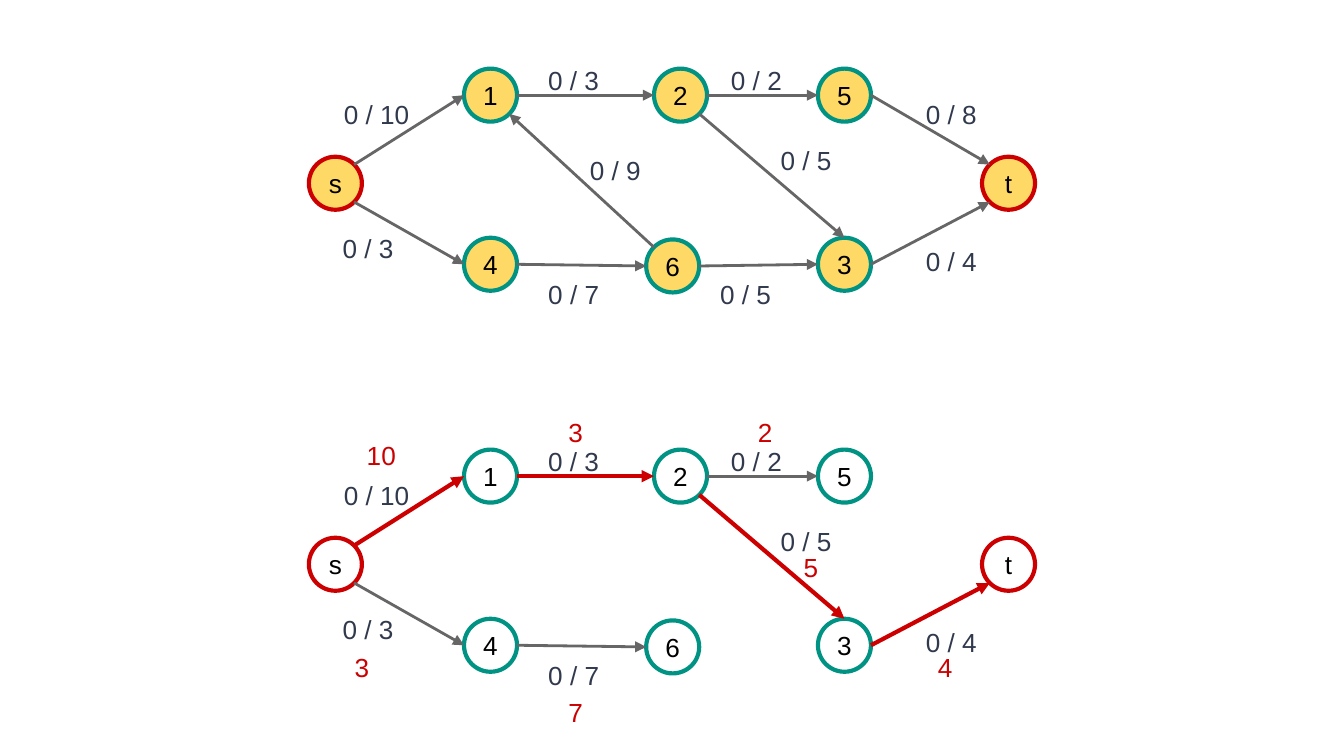
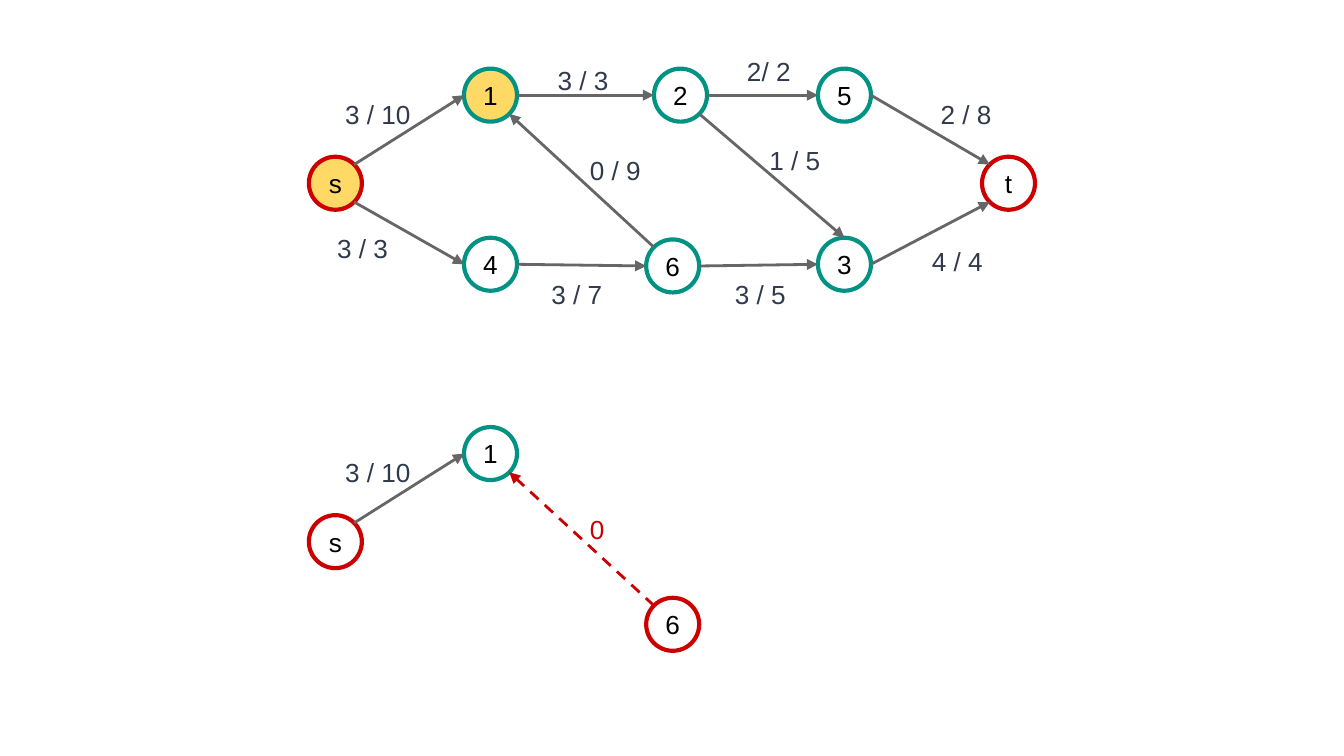
from lxml.etree import SubElement
from pptx import Presentation
from pptx.dml.color import RGBColor
from pptx.enum.dml import MSO_LINE_DASH_STYLE as Dash
from pptx.enum.shapes import MSO_CONNECTOR, MSO_SHAPE
from pptx.enum.text import MSO_ANCHOR, MSO_AUTO_SIZE, PP_ALIGN
from pptx.oxml.ns import qn
from pptx.util import Pt

YELLOW = RGBColor(0xFF, 0xD9, 0x66)
WHITE = RGBColor(0xFF, 0xFF, 0xFF)
RED = RGBColor(0xCC, 0x00, 0x00)
TEAL = RGBColor(0x00, 0x93, 0x84)
GRAY = RGBColor(0x66, 0x66, 0x66)
NAVY = RGBColor(0x31, 0x39, 0x4D)
BLACK = RGBColor(0x00, 0x00, 0x00)

FONT = "Arial"
RADIUS = 14.2
DIAGONAL = 10
THIN, THICK = 1.5, 2.25
LABEL_HEIGHT = 31.5
RESIDUAL_SHIFT = 204.1
REVERSE_SHIFT = 192

CENTERS = {
    "s": (179.7, 98.2), "1": (262.8, 51), "2": (364.6, 51), "5": (452.4, 51),
    "4": (262.8, 141.6), "6": (360.4, 142.5), "3": (452.4, 141.6), "t": (540.3, 98.2),
}
SITES = {
    "N": (0, -RADIUS), "E": (RADIUS, 0), "W": (-RADIUS, 0),
    "NE": (DIAGONAL, -DIAGONAL), "SE": (DIAGONAL, DIAGONAL),
    "NW": (-DIAGONAL, -DIAGONAL), "SW": (-DIAGONAL, DIAGONAL),
}
EDGES = {
    "s1": ("NE", "W"), "12": ("E", "W"), "5t": ("E", "NW"), "s4": ("SE", "W"),
    "46": ("E", "W"), "3t": ("E", "SW"), "61": ("NW", "SE"), "25": ("E", "W"),
    "63": ("E", "W"), "23": ("SE", "N"),
}
START_FLOWS = {
    "s1": ("0 / 10", 177.1, 45.4, 60), "12": ("0 / 3", 286.6, 27.4, 52.6),
    "25": ("0 / 2", 384.5, 27.4, 42.5), "5t": ("0 / 8", 488.9, 45.4, 45.4),
    "s4": ("0 / 3", 176.4, 117.4, 42.5), "46": ("0 / 7", 286.6, 141.9, 42.5),
    "63": ("0 / 5", 378.7, 141.9, 45.4), "3t": ("0 / 4", 488.9, 124, 42.5),
    "61": ("0 / 9", 308.9, 75.7, 45.4), "23": ("0 / 5", 411.1, 69.9, 42.5),
}
FINAL_FLOWS = {
    "s1": ("3 / 10", 177.8, 45.4, 59), "12": ("3 / 3", 291.6, 27.4, 51),
    "25": ("2/ 2", 393.1, 22.3, 45.4), "5t": ("2 / 8", 496.8, 45.4, 51),
    "s4": ("3 / 3", 173.5, 117.4, 45.4), "46": ("3 / 7", 288.3, 141.9, 53.3),
    "63": ("3 / 5", 386.6, 141.9, 51), "3t": ("4 / 4", 492.1, 124, 53.3),
    "61": ("0 / 9", 308.9, 75.7, 45.4), "23": ("1 / 5", 405, 69.9, 60),
}
RESIDUALS = [
    ("10", 189.4, 228.2), ("3", 182.9, 342), ("3", 297.4, 216), ("7", 297.4, 365.8),
    ("5", 423.4, 288), ("2", 398.9, 216), ("4", 495.4, 342),
]
RESIDUAL_EDGES = ["s1", "s4", "12", "46", "23", "25", "3t"]
AUGMENTING_PATH = ["s1", "12", "23", "3t"]


def set_text(text_frame, text, color, margin):
    text_frame.text = text
    text_frame.margin_left = text_frame.margin_right = Pt(margin)
    text_frame.margin_top = text_frame.margin_bottom = Pt(margin)
    text_frame.word_wrap = True
    font = text_frame.paragraphs[0].runs[0].font
    font.name, font.size, font.color.rgb = FONT, Pt(14), color


def add_node(slide, name, fill=None, shift=0, outline=None):
    x, y = CENTERS[name]
    shape = slide.shapes.add_shape(
        MSO_SHAPE.OVAL, Pt(x - RADIUS), Pt(y - RADIUS + shift), Pt(2 * RADIUS), Pt(2 * RADIUS))
    shape.shadow.inherit = False
    if fill is None:
        shape.fill.background()
    else:
        shape.fill.solid()
        shape.fill.fore_color.rgb = fill
    shape.line.color.rgb = outline or (RED if name in "st" else TEAL)
    shape.line.width = Pt(THICK)
    set_text(shape.text_frame, name, BLACK, 1.5)
    shape.text_frame.vertical_anchor = MSO_ANCHOR.MIDDLE
    shape.text_frame.paragraphs[0].alignment = PP_ALIGN.CENTER


def site_point(node, site, shift):
    x, y = CENTERS[node]
    dx, dy = SITES[site]
    return Pt(x + dx), Pt(y + dy + shift)


def add_edge(slide, edge, shift=0, color=GRAY, width=THIN, dash=None):
    start, end = (site_point(node, site, shift) for node, site in zip(edge, EDGES[edge]))
    connector = slide.shapes.add_connector(MSO_CONNECTOR.STRAIGHT, *start, *end)
    line = connector.line
    line.color.rgb, line.width = color, Pt(width)
    if dash:
        line.dash_style = dash
    properties = connector.element.spPr
    SubElement(properties.find(qn("a:ln")), qn("a:tailEnd"), type="triangle")
    SubElement(properties, qn("a:effectLst"))


def add_label(slide, text, left, top, width, color=NAVY, shift=0):
    box = slide.shapes.add_textbox(Pt(left), Pt(top + shift), Pt(width), Pt(LABEL_HEIGHT))
    set_text(box.text_frame, text, color, 7.2)
    box.text_frame.auto_size = MSO_AUTO_SIZE.SHAPE_TO_FIT_TEXT


def add_network(slide, flows, highlighted, other_fill=WHITE):
    for name in CENTERS:
        add_node(slide, name, YELLOW if name in highlighted else other_fill)
    for edge in EDGES:
        add_edge(slide, edge)
        add_label(slide, *flows[edge])


def add_residual_graph(slide):
    for name in CENTERS:
        add_node(slide, name, shift=RESIDUAL_SHIFT)
    for edge in RESIDUAL_EDGES:
        style = (RED, THICK) if edge in AUGMENTING_PATH else (GRAY, THIN)
        add_edge(slide, edge, RESIDUAL_SHIFT, *style)
        add_label(slide, *START_FLOWS[edge], shift=RESIDUAL_SHIFT)
    for text, left, top in RESIDUALS:
        add_label(slide, text, left, top, 31, RED)


def add_reverse_search(slide):
    for name, outline in (("s", RED), ("1", TEAL), ("6", RED)):
        add_node(slide, name, WHITE, REVERSE_SHIFT, outline)
    add_edge(slide, "s1", REVERSE_SHIFT)
    add_label(slide, *FINAL_FLOWS["s1"], shift=REVERSE_SHIFT)
    add_edge(slide, "61", REVERSE_SHIFT, RED, THIN, Dash.DASH)
    _, left, top, width = FINAL_FLOWS["61"]
    add_label(slide, "0", left, top, width, RED, REVERSE_SHIFT)


def main():
    presentation = Presentation()
    presentation.slide_width, presentation.slide_height = Pt(720), Pt(405)
    blank = presentation.slide_layouts[6]

    start_slide = presentation.slides.add_slide(blank)
    add_network(start_slide, START_FLOWS, list(CENTERS))
    add_residual_graph(start_slide)

    final_slide = presentation.slides.add_slide(blank)
    add_network(final_slide, FINAL_FLOWS, ["s", "1"])
    add_reverse_search(final_slide)

    presentation.save("out.pptx")


if __name__ == "__main__":
    main()
